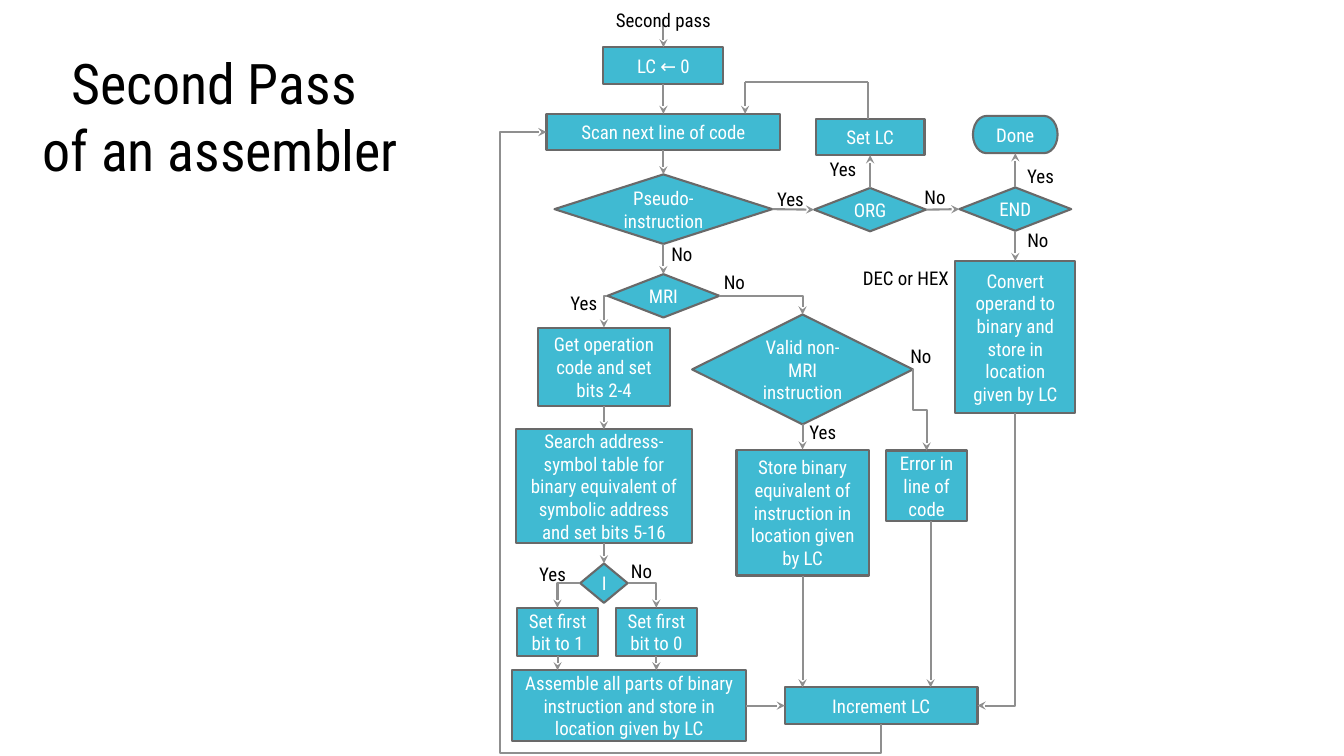
from dataclasses import dataclass

from lxml.etree import SubElement
from pptx import Presentation
from pptx.dml.color import RGBColor
from pptx.enum.shapes import MSO_CONNECTOR as Line, MSO_SHAPE as Shape
from pptx.enum.text import MSO_ANCHOR as Anchor, MSO_AUTO_SIZE as AutoSize, PP_ALIGN as Align
from pptx.oxml.ns import qn
from pptx.util import Inches, Pt


@dataclass(frozen=True)
class Theme:
    """Colours, font and type sizes of the slide."""
    fill: RGBColor = RGBColor.from_string("40BAD2")
    outline: RGBColor = RGBColor.from_string("696969")
    arrow: RGBColor = RGBColor.from_string("8F8F8F")
    dark: RGBColor = RGBColor.from_string("000000")
    light: RGBColor = RGBColor.from_string("FFFFFF")
    font: str = "Roboto Condensed"
    body: float = 13.5
    title: float = 40
    stroke: float = 1.5


@dataclass(frozen=True)
class Node:
    """Edges of one flowchart step, in grid columns and rows."""
    center: float
    y: float
    width: float
    height: float

    @property
    def top(self):
        """Middle of the upper edge."""
        return self.center, self.y

    @property
    def bottom(self):
        """Middle of the lower edge."""
        return self.center, self.y + self.height

    @property
    def left(self):
        """Middle of the left edge."""
        return self.center - self.width / 2, self.y + self.height / 2

    @property
    def right(self):
        """Middle of the right edge."""
        return self.center + self.width / 2, self.y + self.height / 2


class Flowchart:
    """Draws flowchart elements on a slide with a grid of 0.1 inch cells."""

    def __init__(self, page, theme):
        """Keep the slide and its style."""
        self.page = page
        self.theme = theme

    def grid(self, *cells):
        """Turn columns and rows into lengths."""
        return [Inches(cell / 10) for cell in cells]

    def style(self, para, size, color, align):
        """Format a whole paragraph."""
        para.alignment = align
        para.font.name = self.theme.font
        para.font.size = Pt(size)
        para.font.color.rgb = color

    def title(self, text, left, top, width, height):
        """Fill and place the title placeholder."""
        box = self.page.shapes.title
        box.left, box.top, box.width, box.height = self.grid(left, top, width, height)
        frame = box.text_frame
        frame.text = text
        frame.word_wrap = True
        frame.auto_size = AutoSize.NONE
        frame.vertical_anchor = Anchor.TOP
        for para in frame.paragraphs:
            self.style(para, self.theme.title, self.theme.dark, Align.CENTER)

    def step(self, text, center, top, width, height, kind=Shape.RECTANGLE):
        """Draw one step and return its node."""
        box = self.page.shapes.add_shape(kind, *self.grid(center - width / 2, top, width, height))
        box.shadow.inherit = False
        box.fill.solid()
        box.fill.fore_color.rgb = self.theme.fill
        box.line.color.rgb = self.theme.outline
        box.line.width = Pt(self.theme.stroke)
        frame = box.text_frame
        frame.text = text
        frame.word_wrap = True
        frame.vertical_anchor = Anchor.MIDDLE
        self.style(frame.paragraphs[0], self.theme.body, self.theme.light, Align.CENTER)
        return Node(center, top, width, height)

    def decision(self, text, center, top, width=11.1, height=4.3):
        """Draw a decision diamond and return its node."""
        return self.step(text, center, top, width, height, Shape.FLOWCHART_DECISION)

    def label(self, text, left, top, width):
        """Write a free label."""
        frame = self.page.shapes.add_textbox(*self.grid(left, top, width, 3.3)).text_frame
        frame.text = text
        frame.word_wrap = True
        self.style(frame.paragraphs[0], self.theme.body, self.theme.dark, Align.LEFT)

    def link(self, start, end, kind=Line.STRAIGHT, head=True):
        """Draw a connector, with an arrowhead at its end if wanted."""
        link = self.page.shapes.add_connector(kind, *self.grid(*start, *end))
        link.line.color.rgb = self.theme.arrow
        link.line.width = Pt(self.theme.stroke)
        if head:
            SubElement(link.line._get_or_add_ln(), qn("a:tailEnd"), type="stealth")
        SubElement(link._element.spPr, qn("a:effectLst"))
        return link

    def elbow(self, start, end, parts=2, vertical=False, bends=()):
        """Draw a bent arrow that leaves its start sideways or vertically."""
        if vertical:
            across, down = (start[0] + end[0]) / 2, (start[1] + end[1]) / 2
            start, end = [(across + y - down, down - x + across) for x, y in (start, end)]
        form = self.link(start, end, Line.ELBOW)._element.spPr
        if vertical:
            form.find(qn("a:xfrm")).set("rot", "5400000")
        outline = form.find(qn("a:prstGeom"))
        outline.set("prst", f"bentConnector{parts}")
        for number, share in enumerate(bends, 1):
            name = "adj" if len(bends) == 1 else f"adj{number}"
            SubElement(outline.find(qn("a:avLst")), qn("a:gd"),
                       name=name, fmla=f"val {round(share * 100000)}")


def main():
    """Build the slide and save it."""
    deck = Presentation()
    deck.slide_width, deck.slide_height = Inches(13.33), Inches(7.5)
    chart = Flowchart(deck.slides.add_slide(deck.slide_layouts[5]), Theme())
    chart.title("Second Pass \nof an assembler", 1.7, 4.3, 40.3, 21.2)

    scan_lane, mri_lane, other_lane, org_lane, end_lane = 65.8, 59.9, 79.6, 86.3, 100.7
    start = chart.step("LC ← 0", scan_lane, 4.7, 11.9, 3.6)
    scan = chart.step("Scan next line of code", scan_lane, 11.3, 23.2, 3.6)
    pseudo = chart.decision("Pseudo-instruction", scan_lane, 17.3, 21.6, 6.9)
    mri = chart.decision("MRI", scan_lane, 27.2)
    set_lc = chart.step("Set LC", org_lane, 11.8, 10.8, 3.6)
    org = chart.decision("ORG", org_lane, 18.65)
    done = chart.step("Done", end_lane, 11.5, 8.4, 3.7, Shape.FLOWCHART_TERMINATOR)
    end = chart.decision("END", end_lane, 18.6)
    convert = chart.step("Convert operand to binary and store in location given by LC",
                         end_lane, 25.9, 11.9, 15.1)
    valid = chart.decision("Valid non-MRI instruction", other_lane, 31.2, 21.9, 10.9)
    store = chart.step("Store binary equivalent of instruction in location given by LC",
                       other_lane, 44.6, 13.1, 12.5)
    error = chart.step("Error in line of code", 91.9, 44.7, 8.1, 7)
    get_code = chart.step("Get operation code and set bits 2-4", mri_lane, 32.5, 13.1, 7.8)
    search = chart.step("Search address-symbol table for binary equivalent of symbolic "
                        "address and set bits 5-16", mri_lane, 42.6, 17.4, 11.3)
    indirect = chart.decision("I", mri_lane, 55.9, 4.7, 3.9)
    one, zero = [chart.step(f"Set first bit to {bit}", lane, 60.3, 8.1, 4.8)
                 for bit, lane in ((1, 55.3), (0, 65.1))]
    assemble = chart.step("Assemble all parts of binary instruction and store in location "
                          "given by LC", 62.4, 66.5, 23.2, 7)
    increment = chart.step("Increment LC", 87.4, 68.2, 19.1, 3.6)

    chart.link((scan_lane, 1.9), start.top)
    for above, below in ((start, scan), (scan, pseudo), (pseudo, mri), (end, convert),
                         (valid, store), (get_code, search), (search, indirect)):
        chart.link(above.bottom, below.top)
    for below, above in ((org, set_lc), (end, done)):
        chart.link(below.top, above.bottom)
    for before, after in ((pseudo, org), (org, end), (assemble, increment)):
        chart.link(before.right, after.left)
    for step, target in ((one, assemble), (zero, assemble), (store, increment)):
        chart.link(step.bottom, (step.center, target.y))
    chart.link((92.3, error.bottom[1]), (92.3, increment.y))

    corners = [(86.1, set_lc.y), (86.1, 8.1), (73.9, 8.1), (73.9, scan.y)]
    for corner, following in zip(corners, corners[1:]):
        chart.link(corner, following, head=following == corners[-1])

    chart.elbow(mri.left, get_code.top)
    chart.elbow(mri.right, valid.top)
    chart.elbow(indirect.left, one.top)
    chart.elbow(indirect.right, zero.top)
    chart.elbow(valid.right, error.top, 3, True, (0.5,))
    chart.elbow(convert.bottom, increment.right, 2, True)
    chart.elbow(increment.bottom, scan.left, 4, True, (-0.05, 1.14))

    for text, left, top, width in (
            ("Second pass", 60.1, 0.4, 19.5), ("Yes", 76.1, 18.1, 5.4), ("No", 90.7, 17.9, 4.2),
            ("No", 100.9, 22.2, 4.2), ("No", 65.6, 23.6, 4.5), ("Yes", 81.3, 15.1, 5.1),
            ("Yes", 100.9, 15.8, 6.4), ("No", 70.8, 26.4, 4.2), ("Yes", 55.6, 28.4, 5.1),
            ("DEC or HEX", 84.6, 26, 10.7), ("No", 89.3, 33.7, 4.2), ("Yes", 79.3, 41.2, 5.4),
            ("Yes", 52.5, 55.3, 5.4), ("No", 61.6, 55, 4.2)):
        chart.label(text, left, top, width)
    deck.save("out.pptx")


if __name__ == "__main__":
    main()
